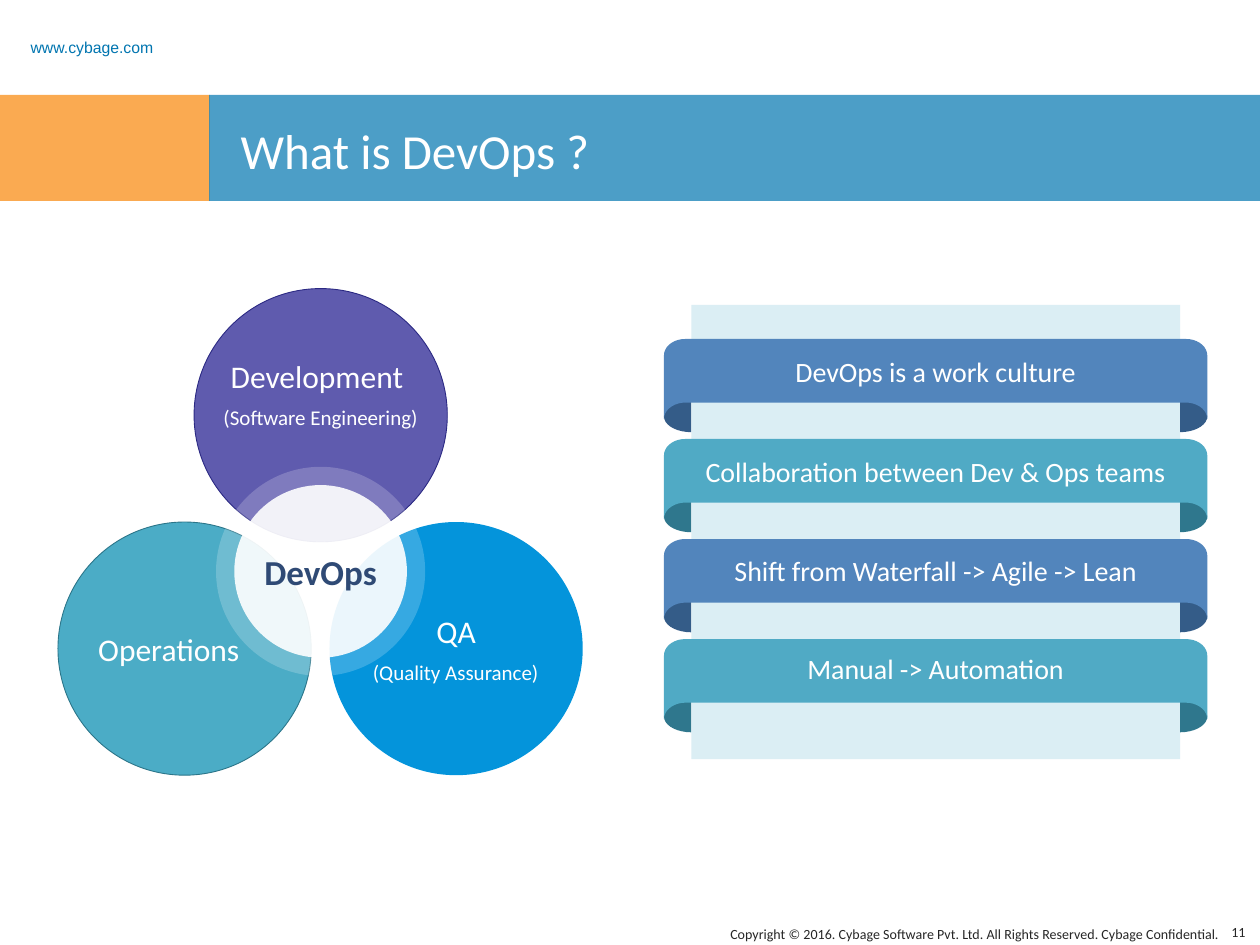
import math

from lxml import etree
from pptx import Presentation
from pptx import util as u
from pptx.dml.color import RGBColor
from pptx.enum import shapes, text
from pptx.oxml.ns import qn

prs = Presentation()
prs.slide_width, prs.slide_height = u.Inches(10), u.Inches(7.5)
COL, ROW = prs.slide_width / 100, prs.slide_height / 75
s = prs.slides.add_slide(prs.slide_layouts[5])
RECT, OVAL = shapes.MSO_SHAPE.RECTANGLE, shapes.MSO_SHAPE.OVAL
LEFT, CENTER, RIGHT = text.PP_ALIGN.LEFT, text.PP_ALIGN.CENTER, text.PP_ALIGN.RIGHT


def paint(sp, color, alpha=100, line=None):
    sp.shadow.inherit = False
    sp.fill.solid()
    sp.fill.fore_color.rgb = RGBColor.from_string(color)
    if alpha < 100:
        rgb = sp.fill._xPr.find(qn("a:solidFill"))[0]
        etree.SubElement(rgb, qn("a:alpha")).set("val", str(alpha * 1000))
    if line:
        sp.line.color.rgb = RGBColor.from_string(line)
        sp.line.width = u.Pt(0.5)
    else:
        sp.line.fill.background()


def write(words, x, y, w, h, size, color="FFFFFF", align=CENTER, sp=None, **font):
    """Put one line of text in a box given in columns and rows."""
    sp = sp or s.shapes.add_textbox(0, 0, 0, 0)
    sp.left, sp.top = u.Emu(round(x * COL)), u.Emu(round(y * ROW))
    sp.width, sp.height = u.Emu(round(w * COL)), u.Emu(round(h * ROW))
    tf = sp.text_frame
    tf.text = words
    tf.word_wrap = True
    tf.auto_size = text.MSO_AUTO_SIZE.NONE
    tf.vertical_anchor = text.MSO_ANCHOR.MIDDLE
    p = tf.paragraphs[0]
    p.alignment = align
    r = p.runs[0]
    r.font.color.rgb = RGBColor.from_string(color)
    for name, value in {"name": "Calibri", "size": u.Pt(size), **font}.items():
        setattr(r.font, name, value)
    return p


# Header band, backing panel of the ribbons
for x, y, w, h, color, alpha in [
    (0, 7.54, 16.65, 8.4, "F88608", 70),
    (16.6, 7.54, 83.4, 8.4, "0075B0", 70),
    (54.87, 24.2, 38.8, 36.05, "DBEEF4", 100),
]:
    sp = s.shapes.add_shape(RECT, round(x * COL), round(y * ROW), round(w * COL), round(h * ROW))
    paint(sp, color, alpha)

# The title lies in front of the band
title = s.shapes.title
s.shapes._spTree.append(title._element)
write("What is DevOps ?", 18.1, 8.8, 80.6, 6.2, 28, align=LEFT, sp=title)
p = write("www.cybage.com", 1.45, 2.4, 15, 1.9, 9, "0075B0", LEFT, name="Arial")
p.line_spacing = 1.5
write("Copyright © 2016. Cybage Software Pvt. Ltd. All Rights Reserved. Cybage Confidential.",
      40.2, 72.82, 57.6, 2.6, 8, "262626", RIGHT)
write("11", 95.85, 73.1, 4, 1.7, 8, "262626", RIGHT)

# Ribbons: curled ends behind, then an arched band
ribbon_left, ribbon_right, ribbon_pitch = 52.7, 95.82, 7.94
corner_w, corner_h, curl_w, curl_h, drop = 1.7, 1.3, 2.15, 1.25, 5.05
blue, teal = ("5285BC", "345C88"), ("50AAC5", "2F778D")
quarter = [math.radians(a) for a in range(0, 91, 10)]
half = [math.radians(a) for a in range(-90, 91, 10)]
for i, (words, text_drop, (band, curl)) in enumerate([
    ("DevOps is a work culture", 1.25, blue),
    ("Collaboration between Dev & Ops teams", 1.25, teal),
    ("Shift from Waterfall -> Agile -> Lean", 1.1, blue),
    ("Manual -> Automation", 1, teal),
]):
    top = 26.9 + i * ribbon_pitch
    outlines = []
    for edge, side in [(ribbon_left, 1), (ribbon_right, -1)]:
        outlines.append((curl, [(edge + side * curl_w * (1 - math.cos(a)),
                                 top + 6.15 + curl_h * math.sin(a)) for a in half]))
    arch = [(ribbon_left + corner_w * (1 - math.cos(a)),
             top + corner_h * (1 - math.sin(a))) for a in quarter]
    arch += [(ribbon_left + ribbon_right - x, y) for x, y in reversed(arch)]
    outlines.append((band, arch + [(x, y + drop) for x, y in reversed(arch)]))
    for color, points in outlines:
        points = [(round(x * COL), round(y * ROW)) for x, y in points]
        fb = s.shapes.build_freeform(*points[0])
        fb.add_line_segments(points[1:], close=True)
        paint(fb.convert_to_shape(), color)
    write(words, ribbon_left, top + text_drop, ribbon_right - ribbon_left, 2.7, 16)

# Three discs with a translucent halo and core where they meet
for cx, cy, d, color, alpha, line in [
    (25.45, 32.95, 20.1, "5F5BAE", 100, "2B2983"),
    (14.65, 51.48, 20.1, "4BACC6", 100, "2B7589"),
    (36.2, 51.48, 20.1, "0494DB", 100, None),
    (25.45, 45.35, 16.6, "FFFFFF", 20, None),
    (25.45, 45.35, 13.7, "FFFFFF", 90, None),
]:
    sp = s.shapes.add_shape(OVAL, round((cx - d / 2) * COL), round((cy - d / 2) * ROW),
                            round(d * COL), round(d * ROW))
    paint(sp, color, alpha, line)

for words, cx, y, h, size in [
    ("Development", 25.15, 27.8, 4, 18),
    ("(Software Engineering)", 25.45, 31.6, 3, 12),
    ("Operations", 13.4, 49.5, 4, 18),
    ("QA", 36.2, 48.1, 4, 18),
    ("(Quality Assurance)", 36.17, 51.85, 3, 12),
]:
    write(words, cx - 10.25, y, 20.5, h, size)
write("DevOps", 19.95, 43.15, 11, 4.4, 20, "2F4A75", bold=True)

prs.save("out.pptx")
